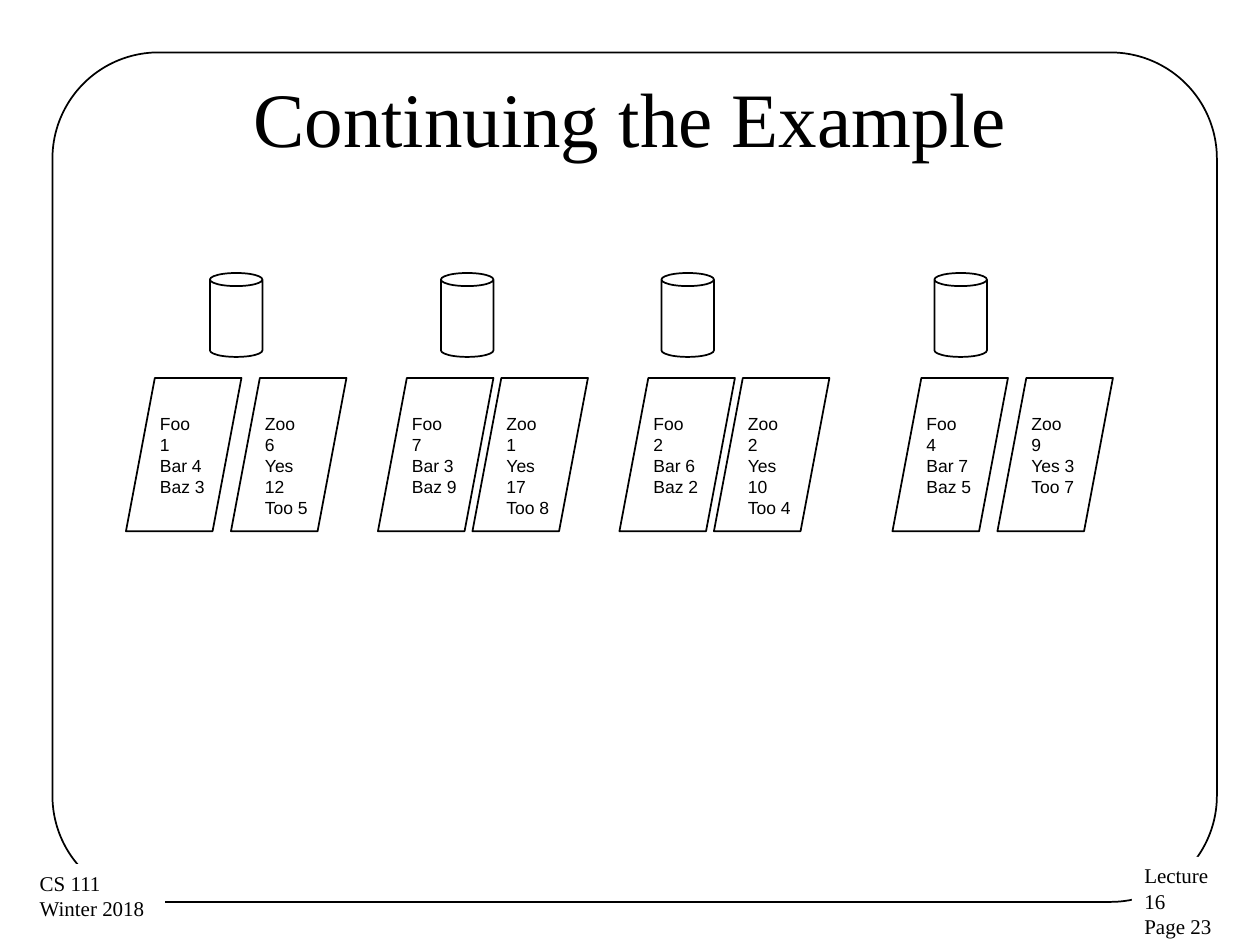
import dataclasses

import pptx
import pptx.dml.color
import pptx.enum.shapes
import pptx.enum.text
import pptx.util

SHAPE = pptx.enum.shapes.MSO_SHAPE
ALIGN = pptx.enum.text.PP_ALIGN
ANCHOR = pptx.enum.text.MSO_ANCHOR
SIZE = pptx.enum.text.MSO_AUTO_SIZE


@dataclasses.dataclass(frozen=True)
class Theme:
    ink: str = "000000"
    paper: str = "FFFFFF"
    serif: str = "Times New Roman"
    sans: str = "Arial"
    title: int = 44
    footer: int = 12
    data: int = 10
    line: int = 1


def write(tf, text, font, size, color, align=ALIGN.LEFT, anchor=ANCHOR.TOP,
          wrap=True, auto_size=SIZE.NONE):
    tf.text = text
    tf.word_wrap = wrap
    tf.auto_size = auto_size
    tf.vertical_anchor = anchor
    for p in tf.paragraphs:
        p.alignment = align
        p.font.name = font
        p.font.size = pptx.util.Pt(size)
        p.font.color.rgb = pptx.dml.color.RGBColor.from_string(color)


class Deck:
    COLUMNS, ROWS = 120, 90

    def __init__(self, theme):
        self.theme = theme
        self.prs = pptx.Presentation()
        self.prs.slide_width = pptx.util.Inches(10)
        self.prs.slide_height = pptx.util.Inches(7.5)
        self.s = self.prs.slides.add_slide(self.prs.slide_layouts[5])

    def box(self, col, row, cols, rows):
        x = self.prs.slide_width / self.COLUMNS
        y = self.prs.slide_height / self.ROWS
        return [round(v) for v in (col * x, row * y, cols * x, rows * y)]

    def title(self, text, *cell):
        sp = self.s.shapes.title
        sp.left, sp.top, sp.width, sp.height = self.box(*cell)
        write(sp.text_frame, text, self.theme.serif, self.theme.title,
              self.theme.ink, align=ALIGN.CENTER, anchor=ANCHOR.MIDDLE)

    def outline(self, kind, adjust, *cell):
        sp = self.s.shapes.add_shape(kind, *self.box(*cell))
        sp.adjustments[0] = adjust
        sp.shadow.inherit = False
        sp.fill.background()
        sp.line.color.rgb = pptx.dml.color.RGBColor.from_string(self.theme.ink)
        sp.line.width = pptx.util.Pt(self.theme.line)
        return sp

    def disk(self, col):
        self.outline(SHAPE.CAN, 0.25, col, 26, 5, 8)

    def records(self, text, col):
        sp = self.outline(SHAPE.PARALLELOGRAM, 0.25, col, 36, 11, 14.6)
        write(sp.text_frame, text, self.theme.sans, self.theme.data, self.theme.ink)

    def footer(self, text, *cell):
        sp = self.s.shapes.add_textbox(*self.box(*cell))
        sp.fill.solid()
        sp.fill.fore_color.rgb = pptx.dml.color.RGBColor.from_string(self.theme.paper)
        write(sp.text_frame, text, self.theme.serif, self.theme.footer,
              self.theme.ink, wrap=False, auto_size=SIZE.SHAPE_TO_FIT_TEXT)


NODES = [
    (20, (12, "Foo\v1\nBar 4\nBaz 3"), (22, "Zoo\v6\nYes 12\nToo 5")),
    (42, (36, "Foo\v7\nBar 3\nBaz 9"), (45, "Zoo\v1\nYes 17\nToo 8")),
    (63, (59, "Foo\v2\nBar 6\nBaz 2"), (68, "Zoo\v2\nYes 10\nToo 4")),
    (89, (85, "Foo\v4\nBar 7\nBaz 5"), (95, "Zoo\v9\nYes 3\nToo 7")),
]


def main():
    deck = Deck(Theme())
    deck.outline(SHAPE.ROUNDED_RECTANGLE, 0.125, 5, 5, 110.9, 80.9)
    deck.footer("Lecture 16\nPage 23", 107.8, 81.6, 10.9, 6.1)
    deck.footer("CS 111\nWinter 2018", 2.6, 82.3, 13.1, 6.1)
    deck.title("Continuing the Example", 6, 3.6, 108, 15)
    for disk_col, *sheets in NODES:
        deck.disk(disk_col)
        for col, text in sheets:
            deck.records(text, col)
    deck.prs.save("out.pptx")


if __name__ == "__main__":
    main()
